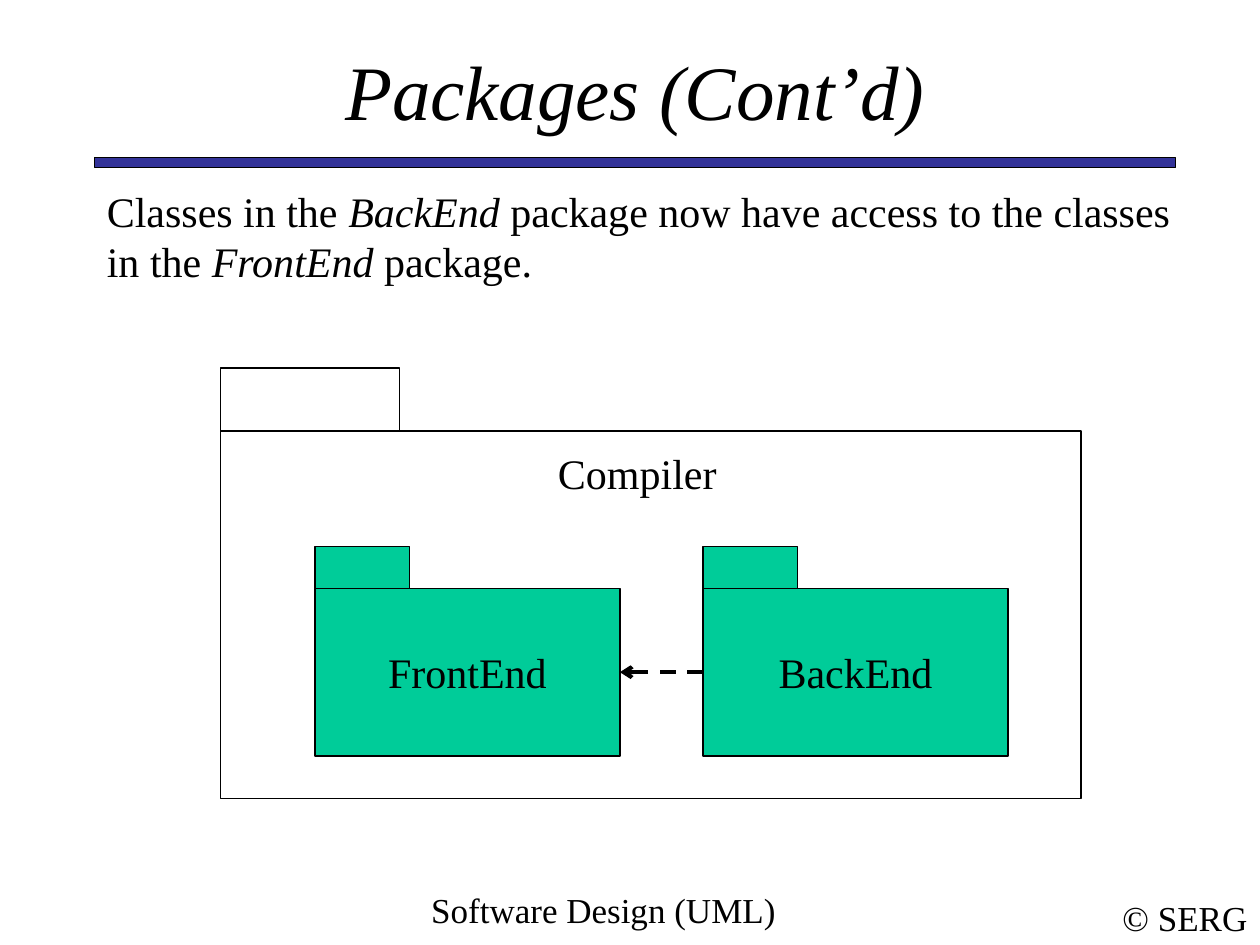
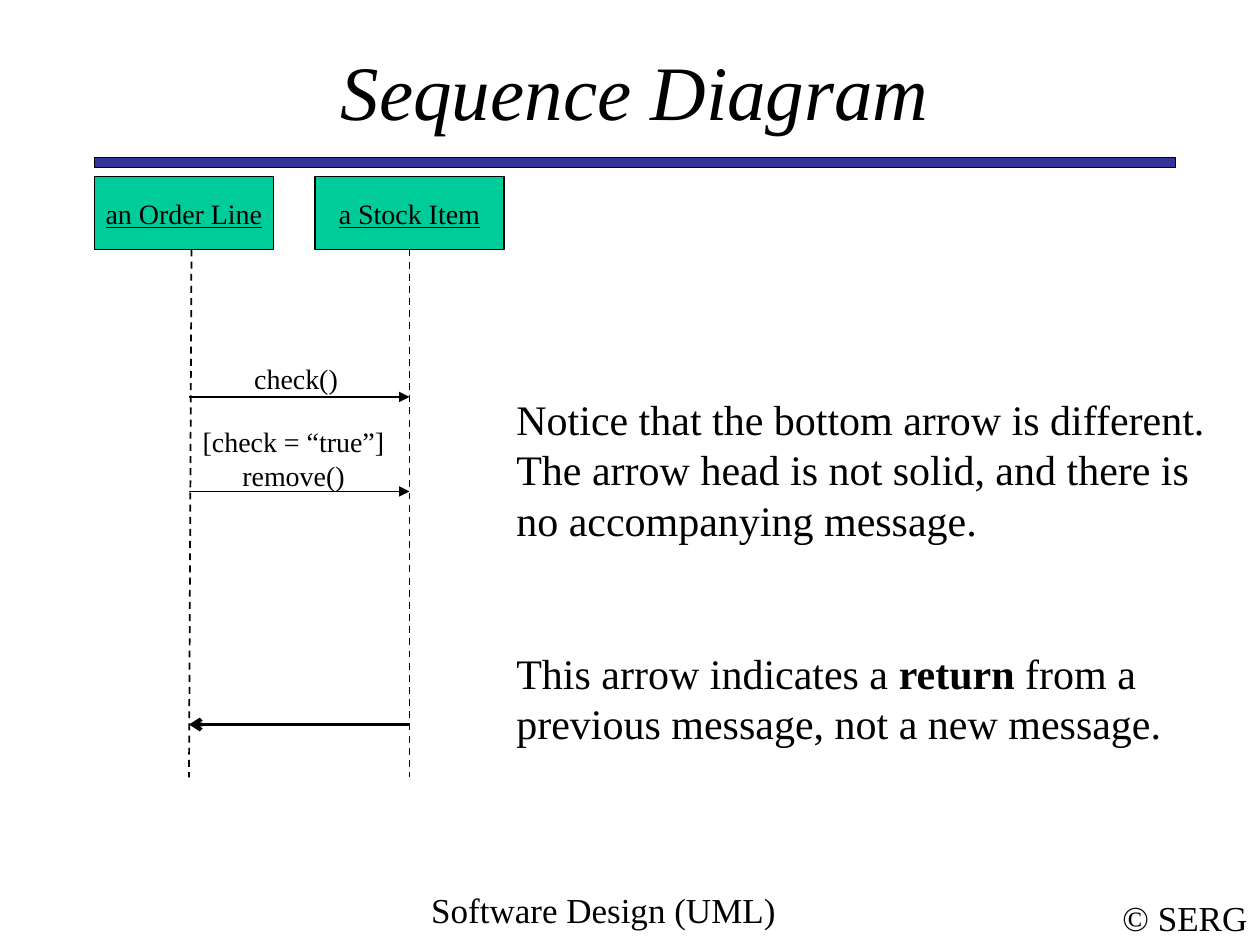
from dataclasses import dataclass

from lxml.etree import SubElement
from pptx import Presentation
from pptx.dml.color import RGBColor
from pptx.enum.dml import MSO_LINE
from pptx.enum.shapes import MSO_CONNECTOR, MSO_SHAPE
from pptx.enum.text import MSO_ANCHOR, PP_ALIGN
from pptx.oxml.ns import qn
from pptx.util import Inches, Pt


@dataclass(frozen=True)
class Theme:
    font: str = "Times New Roman"
    ink: RGBColor = RGBColor(0x00, 0x00, 0x00)
    band: RGBColor = RGBColor(0x33, 0x33, 0x99)
    green: RGBColor = RGBColor(0x00, 0xCC, 0x99)
    title: int = 44
    body: int = 24
    footer: int = 20
    label: int = 16
    thin: float = 0.75
    line: float = 1
    thick: float = 2.25


THEME = Theme()
LEFT, CENTER = PP_ALIGN.LEFT, PP_ALIGN.CENTER
TOP, MIDDLE = MSO_ANCHOR.TOP, MSO_ANCHOR.MIDDLE

FOOTERS = [
    ("Software Design (UML)", (2.58, 7, 4.42, 0.5), TOP, True),
    ("© SERG", (8.81, 7.06, 1.19, 0.44), MIDDLE, False),
]

PACKAGE_TITLE = "Packages (Cont’d)"
PACKAGE_INTRO = [[
    ("Classes in the ", ""), ("BackEnd", "i"),
    (" package now have access to the classes in the ", ""),
    ("FrontEnd", "i"), (" package.", ""),
]]
OUTER_PACKAGE = ("Compiler", (1.75, 3.42, 6.83, 2.92), (1.42, 0.5))
INNER_PACKAGES = [("FrontEnd", 2.5), ("BackEnd", 5.58)]
INNER_TOP, INNER_SIZE, INNER_TAB = 4.67, (2.42, 1.33), (0.75, 0.33)

SEQUENCE_TITLE = "Sequence Diagram"
OBJECTS = [
    ("an Order Line", 0.75, 1.42, (1.52, 1.5)),
    ("a Stock Item", 2.5, 1.5, (3.25, 3.25)),
]
OBJECT_TOP, OBJECT_HEIGHT, LIFELINE_END = 1.4, 0.58, 6.17
CALLER, CALLED = 1.5, 3.25
MESSAGES = [
    (["check()"], (1.85, 2.82, 1, 0.37), 3.15),
    (["[check = “true”]", "remove()"], (1.48, 3.32, 1.7, 0.64), 3.9),
]
RETURN_Y = 5.75
RETURN_NOTES = [
    [("Notice that the bottom arrow is different. The arrow head is not "
      "solid, and there is no accompanying message.", "")],
    [("This arrow indicates a ", ""), ("return", "b"),
     (" from a previous message, not a new message.", "")],
]
NOTE_GAP = 58.8


def write(shape, paragraphs, size, align=LEFT, anchor=TOP, wrap=True, gap=0):
    frame = shape.text_frame
    frame.word_wrap = wrap
    frame.vertical_anchor = anchor
    for index, spans in enumerate(paragraphs):
        para = frame.paragraphs[0] if index == 0 else frame.add_paragraph()
        para.alignment = align
        if index and gap:
            para.space_before = Pt(gap)
        for text, style in spans:
            span = para.add_run()
            span.text = text
            font = span.font
            font.name, font.size = THEME.font, Pt(size)
            font.color.rgb = THEME.ink
            font.bold, font.italic = "b" in style, "i" in style
            font.underline = "u" in style


def add_text(page, place, paragraphs, size, **layout):
    box = page.shapes.add_textbox(*map(Inches, place))
    write(box, paragraphs, size, **layout)


def add_box(page, place, fill=None, width=THEME.thin):
    box = page.shapes.add_shape(MSO_SHAPE.RECTANGLE, *map(Inches, place))
    box.shadow.inherit = False
    if fill is None:
        box.fill.background()
    else:
        box.fill.solid()
        box.fill.fore_color.rgb = fill
    box.line.color.rgb = THEME.ink
    box.line.width = Pt(width)
    return box


def add_line(page, start, end, width=THEME.line, dashed=False, arrow=None):
    link = page.shapes.add_connector(
        MSO_CONNECTOR.STRAIGHT, *map(Inches, (*start, *end)))
    link.line.color.rgb = THEME.ink
    link.line.width = Pt(width)
    if dashed:
        link.line.dash_style = MSO_LINE.DASH
    if arrow:
        SubElement(link.line._get_or_add_ln(), qn("a:tailEnd"), type=arrow)
    SubElement(link._element.spPr, qn("a:effectLst"))


def add_page(deck, title):
    page = deck.slides.add_slide(deck.slide_layouts[6])
    add_box(page, (0.75, 1.25, 8.58, 0.08), THEME.band)
    for text, place, anchor, wrap in FOOTERS:
        add_text(page, place, [[(text, "")]], THEME.footer,
                 align=CENTER, anchor=anchor, wrap=wrap)
    add_text(page, (0.75, 0.42, 8.58, 0.58), [[(title, "i")]], THEME.title,
             align=CENTER, anchor=MIDDLE)
    return page


def add_package(page, place, tab, fill=None):
    left, top = place[:2]
    body = add_box(page, place, fill)
    add_box(page, (left, top - tab[1], *tab), fill)
    return body


def build_packages(deck):
    page = add_page(deck, PACKAGE_TITLE)
    add_text(page, (0.75, 1.42, 8.83, 0.9), PACKAGE_INTRO, THEME.body)
    name, place, tab = OUTER_PACKAGE
    add_package(page, place, tab)
    add_text(page, (4.33, 3.5, 2.08, 0.5), [[(name, "")]], THEME.body)
    for name, left in INNER_PACKAGES:
        body = add_package(page, (left, INNER_TOP, *INNER_SIZE),
                           INNER_TAB, THEME.green)
        write(body, [[(name, "")]], THEME.body,
              align=CENTER, anchor=MIDDLE, wrap=False)
    front, back = (left for _, left in INNER_PACKAGES)
    width, height = INNER_SIZE
    middle = INNER_TOP + height / 2
    add_line(page, (back, middle), (front + width, middle),
             THEME.thick, dashed=True, arrow="arrow")


def build_sequence(deck):
    page = add_page(deck, SEQUENCE_TITLE)
    bottom = OBJECT_TOP + OBJECT_HEIGHT
    for name, left, width, (start, end) in OBJECTS:
        box = add_box(page, (left, OBJECT_TOP, width, OBJECT_HEIGHT),
                      THEME.green, THEME.line)
        write(box, [[(name, "u")]], THEME.label,
              align=CENTER, anchor=MIDDLE, wrap=False)
        add_line(page, (start, bottom), (end, LIFELINE_END), dashed=True)
    for lines, place, y in MESSAGES:
        add_line(page, (CALLER, y), (CALLED, y), arrow="triangle")
        add_text(page, place, [[(line, "")] for line in lines], THEME.label,
                 align=CENTER, wrap=False)
    add_line(page, (CALLED, RETURN_Y), (CALLER, RETURN_Y),
             THEME.thick, arrow="arrow")
    add_text(page, (4, 3.07, 5.67, 2.92), RETURN_NOTES, THEME.body,
             anchor=MIDDLE, gap=NOTE_GAP)


def main():
    deck = Presentation()
    deck.slide_width, deck.slide_height = Inches(10), Inches(7.5)
    build_packages(deck)
    build_sequence(deck)
    deck.save("out.pptx")


if __name__ == "__main__":
    main()
